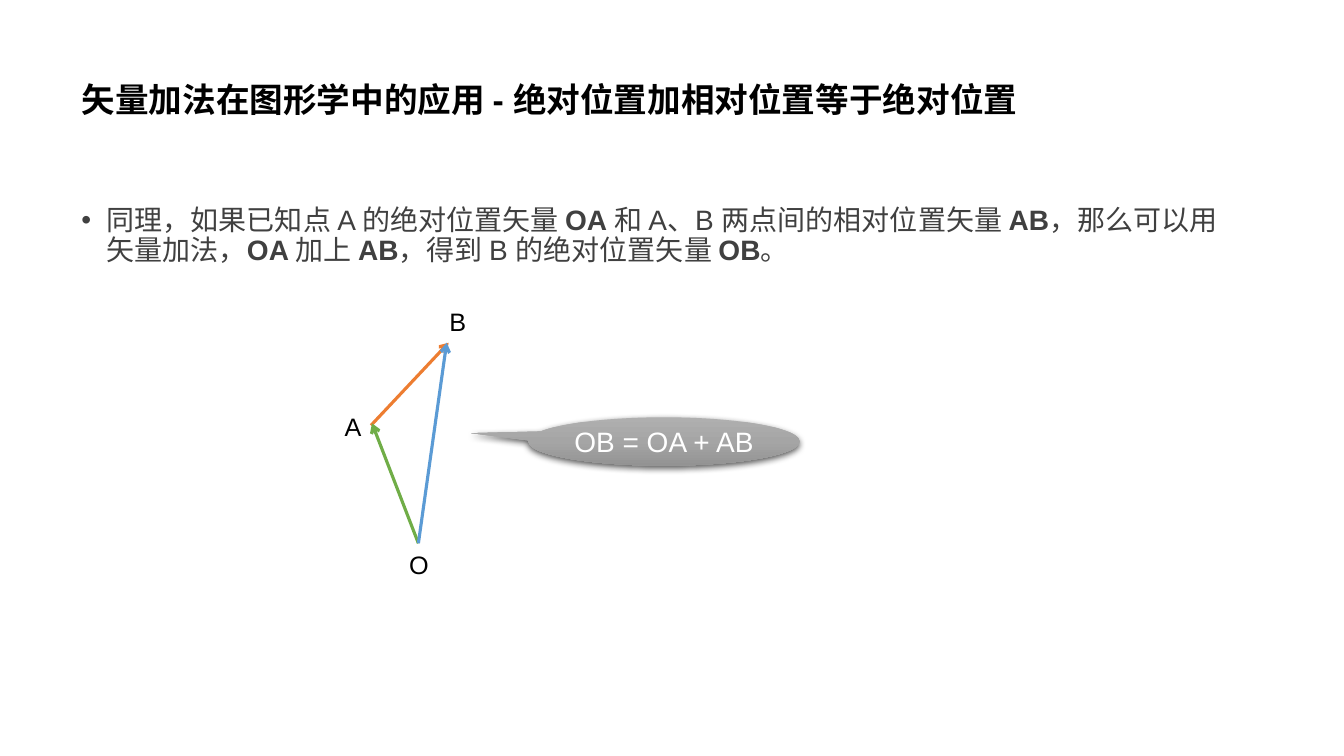
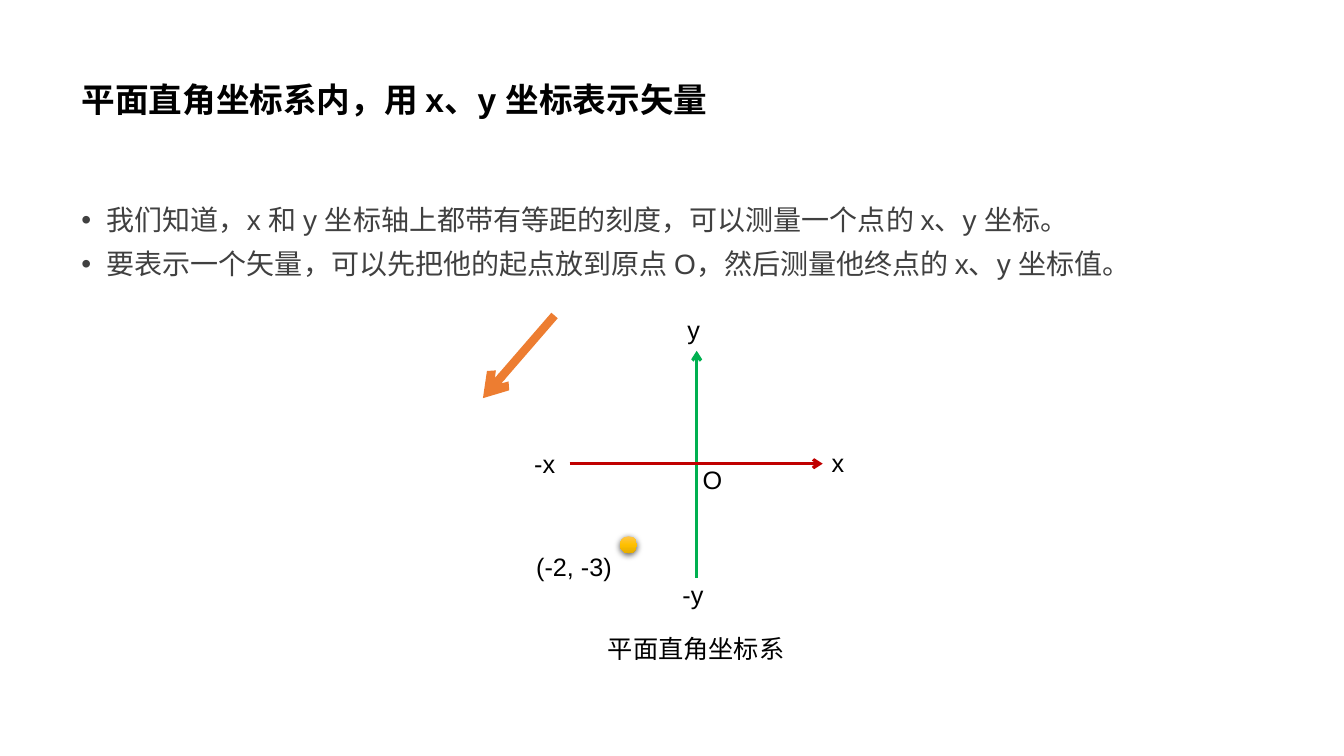
from copy import deepcopy

from lxml.etree import SubElement
from pptx import Presentation
from pptx.dml.color import RGBColor
from pptx.enum.lang import MSO_LANGUAGE_ID as Lang
from pptx.enum.shapes import MSO_CONNECTOR as Connector
from pptx.enum.shapes import MSO_SHAPE as Shape
from pptx.enum.text import MSO_ANCHOR as Anchor
from pptx.enum.text import MSO_AUTO_SIZE as AutoSize
from pptx.enum.text import PP_ALIGN as Align
from pptx.oxml.ns import qn
from pptx.util import Inches, Pt

FONT = "Arial"
BLACK = RGBColor(0x00, 0x00, 0x00)
WHITE = RGBColor(0xFF, 0xFF, 0xFF)
GRAY = RGBColor(0x40, 0x40, 0x40)
ORANGE = RGBColor(0xED, 0x7D, 0x31)
GREEN = RGBColor(0x70, 0xAD, 0x47)
BLUE = RGBColor(0x5B, 0x9B, 0xD5)
AXIS_GREEN = RGBColor(0x00, 0xB0, 0x50)
AXIS_RED = RGBColor(0xC0, 0x00, 0x00)
SILVER_STOPS = [RGBColor(0xAF, 0xAF, 0xAF), RGBColor(0xA5, 0xA5, 0xA5), RGBColor(0x93, 0x93, 0x93)]
GOLD_STOPS = [RGBColor(0xFF, 0xC6, 0x4B), RGBColor(0xFF, 0xC0, 0x00), RGBColor(0xE3, 0xAB, 0x00)]

MARGIN, CONTENT_WIDTH = 0.71, 11.5
TITLE_BOX = (MARGIN, 0.28, CONTENT_WIDTH, 1.45)
BODY_BOX = (MARGIN, 2, CONTENT_WIDTH, 4.76)
LABEL_HEIGHT = 0.4


def write(frame, text, size=18, color=BLACK, bold=False, align=Align.LEFT,
          spacing=None, before=0, bullet=False):
    """Write one paragraph per line; text between ** marks is bold."""
    for index, line in enumerate(text.split("\n")):
        paragraph = frame.add_paragraph() if index else frame.paragraphs[0]
        if bullet:
            props = paragraph._p.get_or_add_pPr()
            props.set("marL", str(Inches(0.25)))
            props.set("indent", str(Inches(-0.25)))
            SubElement(props, qn("a:buFont"), typeface=FONT)
            SubElement(props, qn("a:buChar"), char="•")
        paragraph.alignment = align
        if spacing:
            paragraph.line_spacing = spacing
        paragraph.space_before = Pt(before if index else 0)
        for part, words in enumerate(line.split("**")):
            run = paragraph.add_run()
            run.text = words
            run.font.name, run.font.size = FONT, Pt(size)
            run.font.bold = bold or part % 2 == 1
            run.font.color.rgb = color
            run.font.language_id = Lang.SIMPLIFIED_CHINESE


def add_label(shapes, text, left, top, width):
    """Add a one-line label that fits its text."""
    frame = shapes.add_textbox(*map(Inches, (left, top, width, LABEL_HEIGHT))).text_frame
    frame.word_wrap = False
    frame.auto_size = AutoSize.SHAPE_TO_FIT_TEXT
    write(frame, text)


def add_arrow(shapes, start, end, color, width=2.25):
    """Draw a vector from start to end."""
    arrow = shapes.add_connector(Connector.STRAIGHT, *map(Inches, (*start, *end)))
    arrow.line.color.rgb = color
    arrow.line.width = Pt(width)
    SubElement(arrow.line._ln, qn("a:tailEnd"), type="arrow")
    SubElement(arrow._element.spPr, qn("a:effectLst"))


def add_glossy_shape(shapes, kind, box, colors):
    """Add a borderless shape with a vertical three-stop gradient and a soft shadow."""
    shape = shapes.add_shape(kind, *map(Inches, box))
    shape.line.fill.background()
    shape.fill.gradient()
    shape.fill.gradient_angle = 270
    properties = shape._element.spPr
    stops = properties.find(qn("a:gradFill")).find(qn("a:gsLst"))
    stops.insert(1, deepcopy(stops[0]))
    for index, color in enumerate(colors):
        stop = shape.fill.gradient_stops[index]
        stop.color.rgb = color
        stop.position = index / 2
    shape.shadow.inherit = False
    shadow = SubElement(properties.find(qn("a:effectLst")), qn("a:outerShdw"),
                        blurRad=str(Pt(4.5)), dist=str(Pt(1.5)), dir="5400000",
                        algn="ctr", rotWithShape="0")
    tint = SubElement(shadow, qn("a:srgbClr"), val=str(BLACK))
    SubElement(tint, qn("a:alpha"), val="63000")
    return shape


def add_content_slide(prs, heading, body):
    """Add a slide with a heading and bulleted text."""
    slide = prs.slides.add_slide(prs.slide_layouts[5])
    title = slide.shapes.title
    title.left, title.top, title.width, title.height = map(Inches, TITLE_BOX)
    title.text_frame.auto_size = AutoSize.NONE
    title.text_frame.vertical_anchor = Anchor.MIDDLE
    write(title.text_frame, heading, size=24, bold=True, spacing=0.9)
    frame = slide.shapes.add_textbox(*map(Inches, BODY_BOX)).text_frame
    frame.word_wrap = True
    write(frame, body, size=20, color=GRAY, spacing=0.9, before=10, bullet=True)
    return slide


def add_vector_triangle(shapes, left, top):
    """Draw OA, AB and their sum OB with the points labelled."""
    origin = (left + 0.83, top + 2.4)
    add_arrow(shapes, (left + 0.36, top + 1.23), (left + 1.13, top + 0.41), ORANGE)
    add_arrow(shapes, origin, (left + 0.37, top + 1.21), GREEN)
    add_arrow(shapes, origin, (left + 1.11, top + 0.41), BLUE)
    for name, dx, dy, width in (("A", 0, 1.04, 0.37), ("B", 1.04, 0, 0.37), ("O", 0.64, 2.41, 0.39)):
        add_label(shapes, name, left + dx, top + dy, width)


def add_sum_callout(shapes, box):
    """Add the callout that states the vector sum."""
    callout = add_glossy_shape(shapes, Shape.OVAL_CALLOUT, box, SILVER_STOPS)
    callout.adjustments[0], callout.adjustments[1] = -0.711, -0.172
    frame = callout.text_frame
    frame.margin_left = frame.margin_right = frame.margin_top = frame.margin_bottom = 0
    frame.vertical_anchor = Anchor.MIDDLE
    write(frame, "OB = OA + AB", size=20, color=WHITE, align=Align.CENTER)


def add_axes(slide, left, top):
    """Draw the coordinate axes with their labels as one group."""
    shapes = slide.shapes.add_group_shape().shapes
    center_x, center_y = left + 1.71, top + 1.53
    add_arrow(shapes, (center_x, top + 2.66), (center_x, top + 0.41), AXIS_GREEN)
    add_arrow(shapes, (left + 0.45, center_y), (left + 2.96, center_y), AXIS_RED)
    for name, dx, dy, width in (("-x", 0, 1.33, 0.46), ("x", 2.95, 1.32, 0.33),
                                ("y", 1.52, 0, 0.35), ("-y", 1.47, 2.63, 0.47)):
        add_label(shapes, name, left + dx, top + dy, width)
    add_label(slide.shapes, "平面直角坐标系", left + 0.73, top + 3.16, 1.95)
    add_label(slide.shapes, "O", left + 1.67, top + 1.49, 0.39)


def add_end_point(shapes, left, top):
    """Mark the end point of the vector with its coordinates."""
    add_label(shapes, "(-2, -3)", left, top + 0.1, 1.08)
    add_glossy_shape(shapes, Shape.OVAL, (left + 0.93, top, 0.17, 0.17), GOLD_STOPS)


def main():
    """Build and save the presentation."""
    prs = Presentation()
    prs.slide_width, prs.slide_height = Inches(13.33), Inches(7.5)

    addition = add_content_slide(
        prs, "矢量加法在图形学中的应用 - 绝对位置加相对位置等于绝对位置",
        "同理，如果已知点 A 的绝对位置矢量 **OA **和 A、B 两点间的相对位置矢量 **AB**，"
        "那么可以用矢量加法，**OA **加上 **AB**，得到 B 的绝对位置矢量 **OB**。")
    add_vector_triangle(addition.shapes, 3.32, 2.99)
    add_sum_callout(addition.shapes, (5.24, 4.14, 2.69, 0.48))

    coordinates = add_content_slide(
        prs, "平面直角坐标系内，用 x、y 坐标表示矢量",
        "我们知道，x 和 y 坐标轴上都带有等距的刻度，可以测量一个点的 x、y 坐标。\n"
        "要表示一个矢量，可以先把他的起点放到原点 O，然后测量他终点的 x、y 坐标值。")
    add_axes(coordinates, 5.2, 3.07)
    add_arrow(coordinates.shapes, (5.5, 3.13), (4.79, 3.95), ORANGE, width=6)
    add_end_point(coordinates.shapes, 5.22, 5.32)

    prs.save("out.pptx")


if __name__ == "__main__":
    main()
